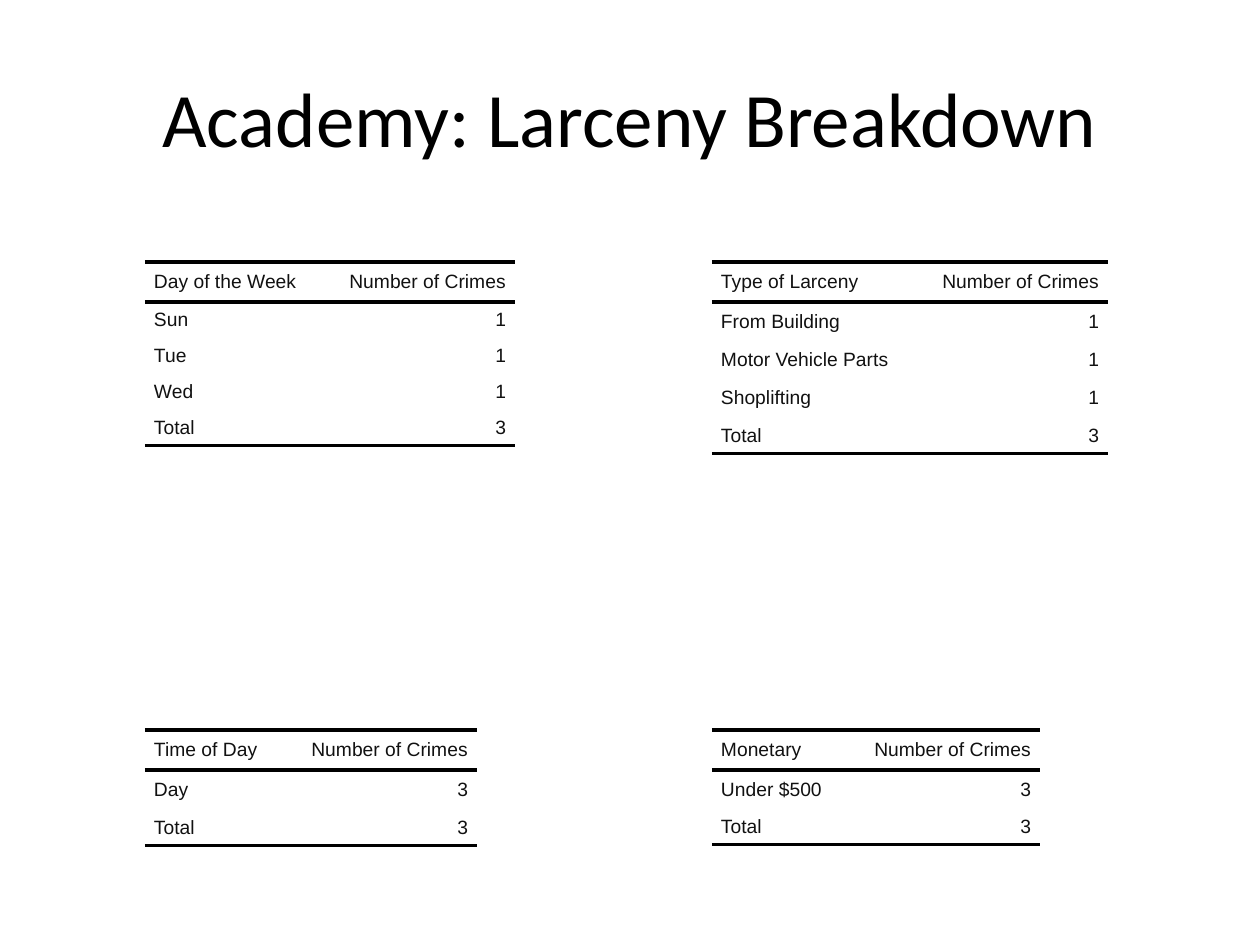
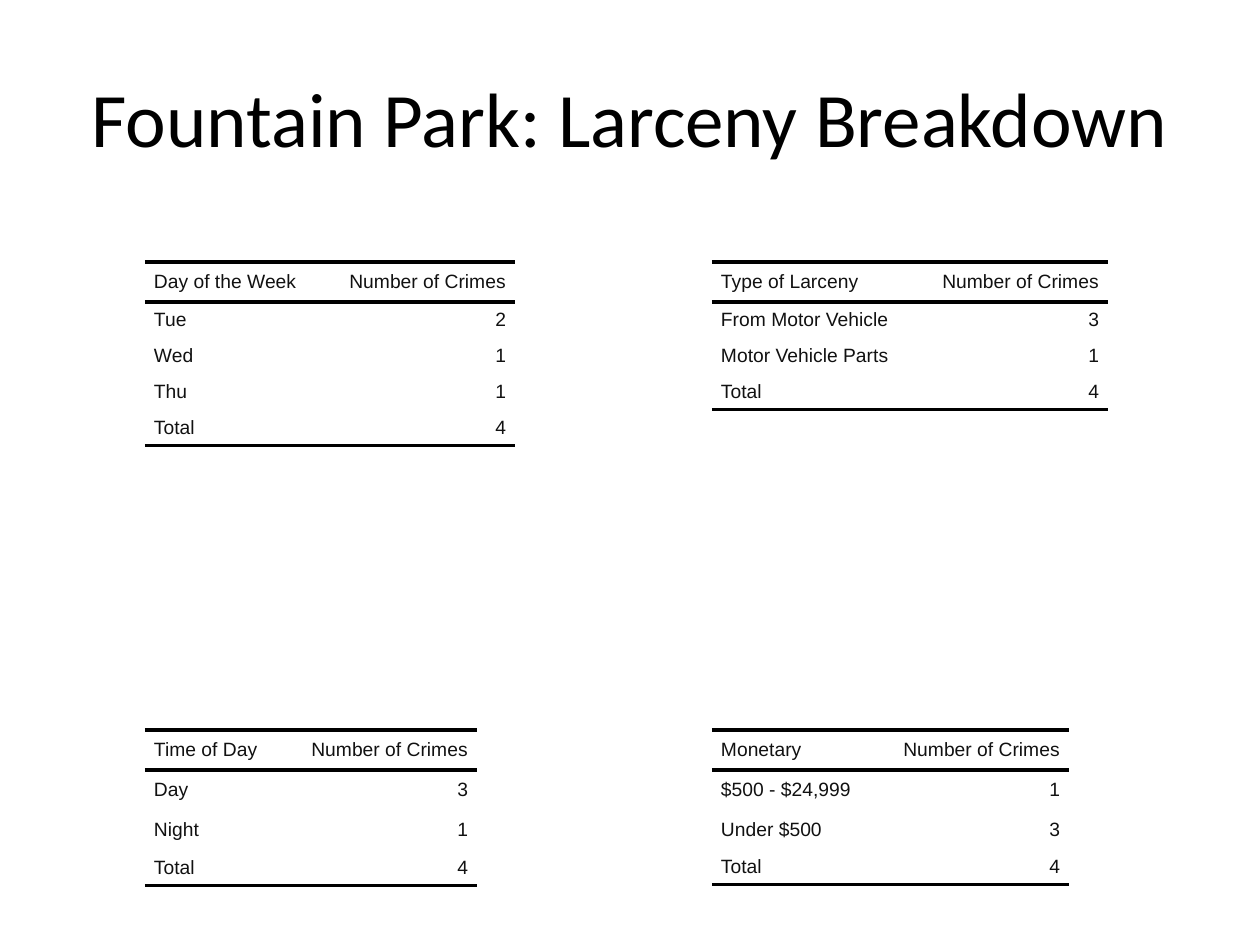
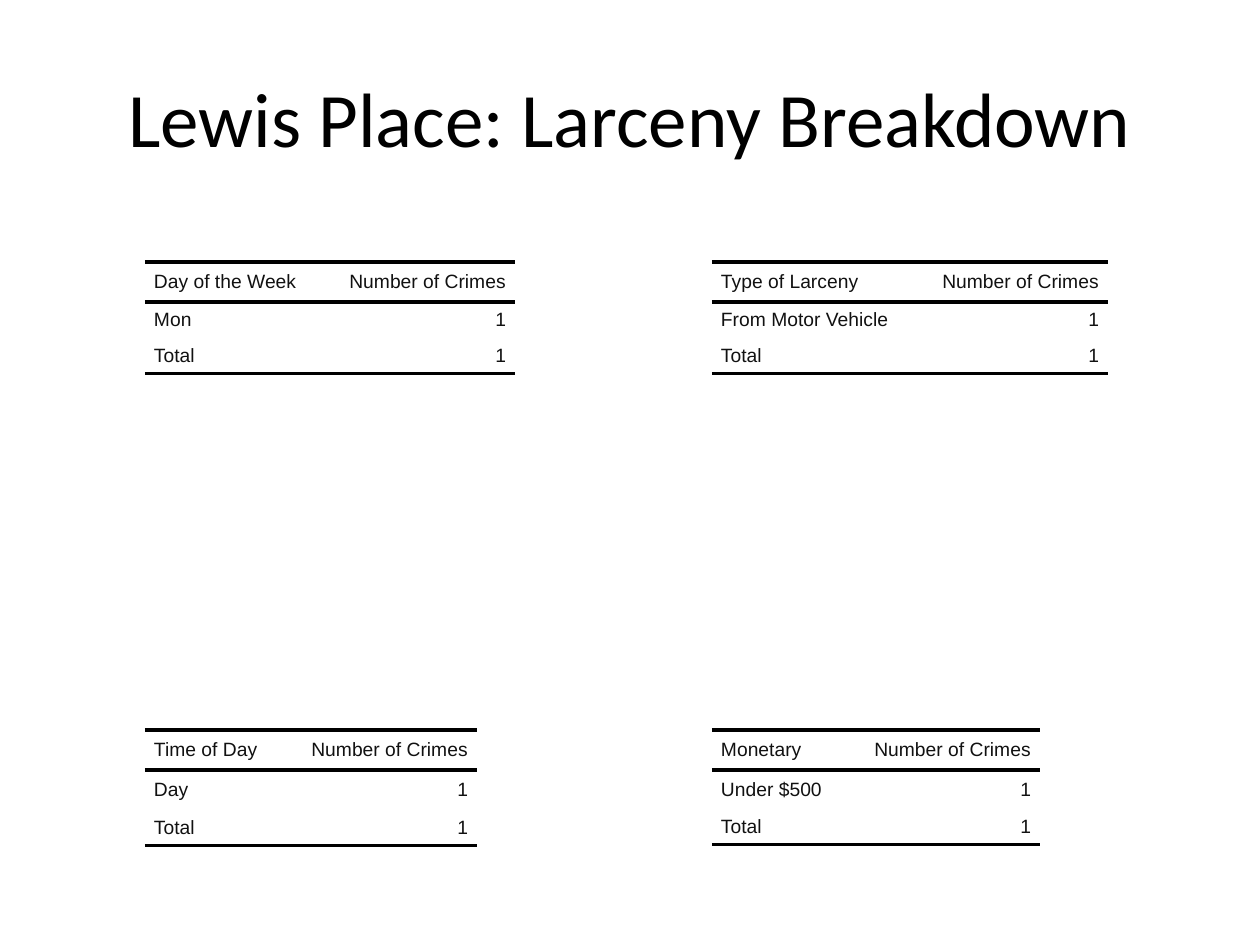
from lxml.etree import SubElement
from pptx import Presentation
from pptx.dml.color import RGBColor
from pptx.enum.text import MSO_ANCHOR, PP_ALIGN
from pptx.oxml.ns import qn
from pptx.util import Emu, Pt

PX_PER_INCH = 126
COLORS = {"background": "FFFFFF", "title": "000000", "rule": "000000", "body": "111111"}
NO_TABLE_STYLE = "{2D5ABB26-0587-4C30-8999-92F81FD0307C}"

COUNT_HEADER = "Number of Crimes"
COUNT_WIDTH = 192
HEADER_HEIGHT = 40
ROW_HEIGHT = 36
TALL_ROWS = {"Day": 40, "Night": 40, "$500 - $24,999": 40, "Under $500": 39,
             "From Building": 40, "Shoplifting": 40}
LEFT, RIGHT = 145, 712
TOP, BOTTOM = 262, 730

BREAKDOWNS = {
    "Day of the Week": (LEFT, TOP, 178),
    "Time of Day": (LEFT, BOTTOM, 140),
    "Type of Larceny": (RIGHT, TOP, 204),
    "Monetary": (RIGHT, BOTTOM, 136),
}
WIDER_LABELS = {"$500 - $24,999": 165}

NEIGHBORHOODS = {
    "Academy": {
        "Day of the Week": {"Sun": 1, "Tue": 1, "Wed": 1},
        "Time of Day": {"Day": 3},
        "Type of Larceny": {"From Building": 1, "Motor Vehicle Parts": 1, "Shoplifting": 1},
        "Monetary": {"Under $500": 3},
    },
    "Fountain Park": {
        "Day of the Week": {"Tue": 2, "Wed": 1, "Thu": 1},
        "Time of Day": {"Day": 3, "Night": 1},
        "Type of Larceny": {"From Motor Vehicle": 3, "Motor Vehicle Parts": 1},
        "Monetary": {"$500 - $24,999": 1, "Under $500": 3},
    },
    "Lewis Place": {
        "Day of the Week": {"Mon": 1},
        "Time of Day": {"Day": 1},
        "Type of Larceny": {"From Motor Vehicle": 1},
        "Monetary": {"Under $500": 1},
    },
}


def px(length):
    return Emu(round(length * 914400 / PX_PER_INCH))


def rgb(name):
    return RGBColor.from_string(COLORS[name])


def write(frame, text, font="Arial", size=11, color="body", align=PP_ALIGN.LEFT,
          indent=0, after=0):
    paragraph = frame.paragraphs[0]
    properties = paragraph._p.get_or_add_pPr()
    for side in ("marL", "marR"):
        properties.set(side, str(px(indent)))
    properties.set("indent", "0")
    paragraph.alignment = align
    paragraph.space_after = Pt(after)
    run = paragraph.add_run()
    run.text = text
    run.font.name = font
    run.font.size = Pt(size)
    run.font.color.rgb = rgb(color)


class Deck:
    def __init__(self):
        self.presentation = Presentation()
        self.presentation.slide_width = px(1260)
        self.presentation.slide_height = px(945)
        self.slide = None

    def add_slide(self):
        self.slide = self.presentation.slides.add_slide(self.presentation.slide_layouts[6])
        background = self.slide.background.fill
        background.solid()
        background.fore_color.rgb = rgb("background")

    def title(self, text):
        frame = self.slide.shapes.add_textbox(px(63), px(38), px(1134), px(157)).text_frame
        frame.word_wrap = True
        frame.vertical_anchor = MSO_ANCHOR.MIDDLE
        write(frame, text, font="Calibri", size=44, color="title", align=PP_ALIGN.CENTER)

    def rule(self, cell, edge):
        line = SubElement(cell._tc.get_or_add_tcPr(), qn(f"a:{edge}"), w=str(Pt(2)))
        fill = SubElement(line, qn("a:solidFill"))
        SubElement(fill, qn("a:srgbClr"), val=COLORS["rule"])

    def cell(self, cell, text, align, edges):
        cell.margin_left = cell.margin_right = cell.margin_top = cell.margin_bottom = 0
        cell.vertical_anchor = MSO_ANCHOR.MIDDLE
        for edge in edges:
            self.rule(cell, edge)
        cell.fill.background()
        write(cell.text_frame, text, align=align, indent=9, after=2)

    def breakdown(self, heading, counts):
        left, top, label_width = BREAKDOWNS[heading]
        label_width = max([label_width] + [WIDER_LABELS.get(label, 0) for label in counts])
        rows = [(heading, COUNT_HEADER), *counts.items(), ("Total", sum(counts.values()))]
        heights = [HEADER_HEIGHT] + [TALL_ROWS.get(label, ROW_HEIGHT) for label, _ in rows[1:]]
        table = self.slide.shapes.add_table(
            len(rows), 2, px(left), px(top), px(label_width + COUNT_WIDTH), px(sum(heights))).table
        table.first_row = table.horz_banding = False
        table._tbl.tblPr.find(qn("a:tableStyleId")).text = NO_TABLE_STYLE
        for column, width in zip(table.columns, (label_width, COUNT_WIDTH)):
            column.width = px(width)
        edges = {0: ("lnT", "lnB"), len(rows) - 1: ("lnB",)}
        for index, (values, height) in enumerate(zip(rows, heights)):
            table.rows[index].height = px(height)
            for column, align in enumerate((PP_ALIGN.LEFT, PP_ALIGN.RIGHT)):
                self.cell(table.cell(index, column), str(values[column]), align,
                          edges.get(index, ()))


def main():
    deck = Deck()
    for neighborhood, breakdowns in NEIGHBORHOODS.items():
        deck.add_slide()
        deck.title(f"{neighborhood}: Larceny Breakdown")
        for heading, counts in breakdowns.items():
            deck.breakdown(heading, counts)
    deck.presentation.save("out.pptx")


if __name__ == "__main__":
    main()
